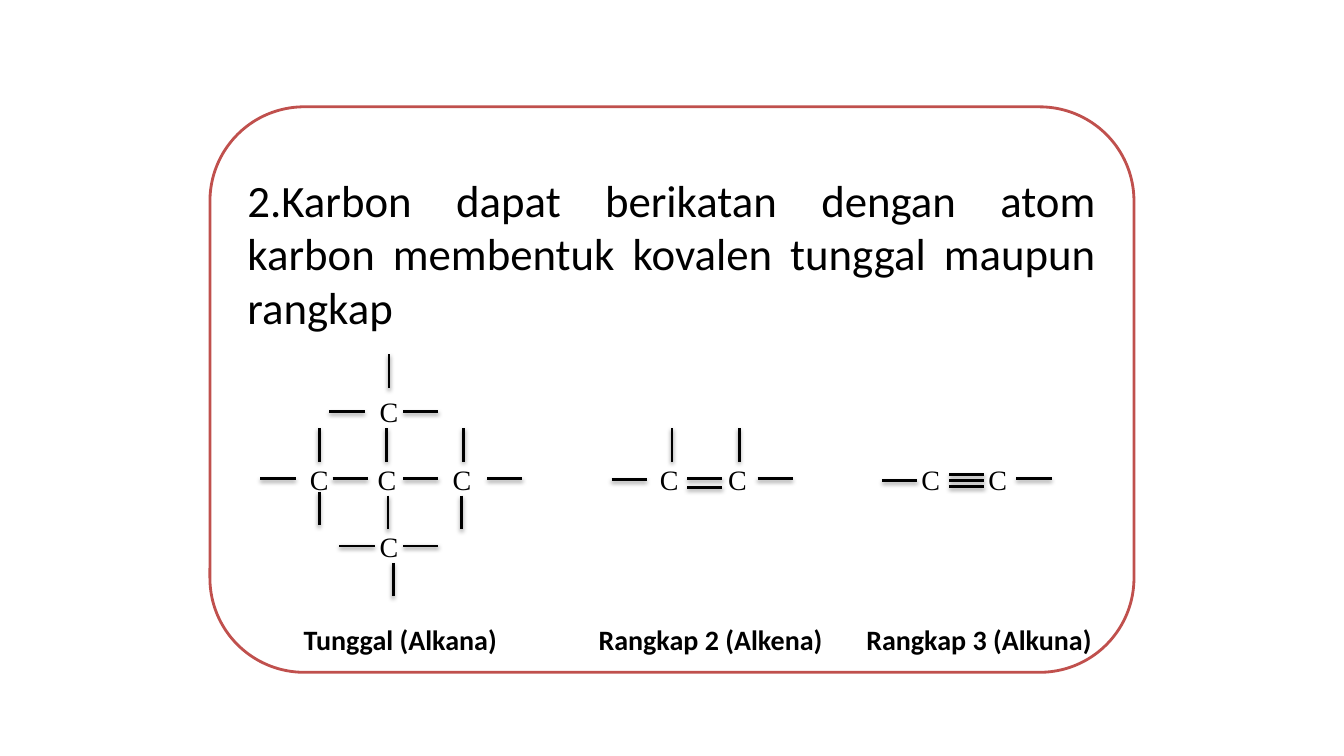
from lxml.etree import SubElement
from pptx import Presentation
from pptx.dml.color import RGBColor
from pptx.enum.shapes import MSO_CONNECTOR as Connector, MSO_SHAPE as Shape
from pptx.enum.text import MSO_ANCHOR as Anchor, PP_ALIGN as Align
from pptx.oxml.ns import qn
from pptx.util import Inches, Pt

COLORS = {"paper": "FFFFFF", "frame": "C0504D", "ink": "000000"}
COLUMNS, ROWS = 80, 45
BOND_WIDTH, BOND_HEIGHT = 2.1, 2

MOLECULES = [
    {
        "label": ("Tunggal (Alkana)", 23.83),
        "atoms": [(23.16, 24.5), (19, 28.5), (23.04, 28.5), (27.5, 28.5), (23.16, 32.5)],
        "across": [(19.6, 24.5), (24, 24.5), (15.5, 28.5), (19.8, 28.5), (24, 28.5),
                   (29, 28.5), (20.2, 32.5), (24, 32.5)],
        "down": [(23.16, 21.1), (19, 25.5), (23, 25.5), (27.6, 25.5),
                 (19, 29.28), (23.1, 29.5), (27.48, 29.5), (23.4, 33.5)],
    },
    {
        "label": ("Rangkap 2 (Alkena)", 42.3),
        "atoms": [(39.84, 28.5), (43.9, 28.5)],
        "across": [(36.4, 28.56), (40.9, 28.5), (40.9, 29), (45.1, 28.5)],
        "down": [(40, 25.5), (44, 25.5)],
    },
    {
        "label": ("Rangkap 3 (Alkuna)", 58.28),
        "atoms": [(55.4, 28.5), (59.4, 28.5)],
        "across": [(52.5, 28.62), (56.5, 28.26), (56.5, 28.62), (56.5, 28.98), (60.5, 28.5)],
        "down": [],
    },
]


class BondSlide:
    def __init__(self, presentation):
        self.slide = presentation.slides.add_slide(presentation.slide_layouts[6])
        self.column = presentation.slide_width / COLUMNS
        self.row = presentation.slide_height / ROWS

    def place(self, left, top, width, height):
        return (round(left * self.column), round(top * self.row),
                round(width * self.column), round(height * self.row))

    def add_text(self, paragraph, text, size, font="Calibri", bold=False):
        run = paragraph.add_run()
        run.text = text
        run.font.name = font
        run.font.size = Pt(size)
        run.font.bold = bold
        run.font.color.rgb = RGBColor.from_string(COLORS["ink"])

    def panel(self, left, top, width, height, text):
        shape = self.slide.shapes.add_shape(Shape.ROUNDED_RECTANGLE,
                                            *self.place(left, top, width, height))
        shape.shadow.inherit = False
        shape.fill.solid()
        shape.fill.fore_color.rgb = RGBColor.from_string(COLORS["paper"])
        shape.line.color.rgb = RGBColor.from_string(COLORS["frame"])
        shape.line.width = Pt(2)
        frame = shape.text_frame
        frame.word_wrap = True
        frame.vertical_anchor = Anchor.TOP
        frame.margin_top = round(2.26 * self.row)
        paragraph = frame.paragraphs[0]
        paragraph.alignment = Align.JUSTIFY
        self.add_text(paragraph, text, 32)

    def centered_text(self, center, middle, width, text, font="Calibri", bold=False):
        height = 2
        box = self.slide.shapes.add_textbox(
            *self.place(center - width / 2, middle - height / 2, width, height))
        frame = box.text_frame
        frame.word_wrap = True
        frame.margin_left = frame.margin_right = frame.margin_top = frame.margin_bottom = 0
        frame.vertical_anchor = Anchor.MIDDLE
        paragraph = frame.paragraphs[0]
        paragraph.alignment = Align.CENTER
        self.add_text(paragraph, text, 20, font, bold)

    def bond(self, group, left, top, width, height):
        x, y, dx, dy = self.place(left, top, width, height)
        line = group.shapes.add_connector(Connector.STRAIGHT, x, y, x + dx, y + dy)
        line.line.color.rgb = RGBColor.from_string(COLORS["ink"])
        line.line.width = Pt(2)
        effects = SubElement(line._element.spPr, qn("a:effectLst"))
        shadow = SubElement(effects, qn("a:outerShdw"), blurRad=str(Pt(3.1)),
                            dist=str(Pt(1.6)), dir="5400000", rotWithShape="0")
        color = SubElement(shadow, qn("a:srgbClr"), val=COLORS["ink"])
        SubElement(color, qn("a:alpha"), val="38000")

    def molecule(self, label, atoms, across, down):
        for column, row in atoms:
            self.centered_text(column, row, 2, "C", "Times New Roman")
        group = self.slide.shapes.add_group_shape()
        for column, row in across:
            self.bond(group, column, row, BOND_WIDTH, 0)
        for column, row in down:
            self.bond(group, column, row, 0, BOND_HEIGHT)
        text, center = label
        self.centered_text(center, 38.07, 15, text, bold=True)


def main():
    presentation = Presentation()
    presentation.slide_width = Inches(13.33)
    presentation.slide_height = Inches(7.5)
    page = BondSlide(presentation)
    page.panel(12.5, 6.36, 55, 33.66,
               "2.Karbon dapat berikatan dengan atom karbon membentuk "
               "kovalen tunggal maupun rangkap")
    for molecule in MOLECULES:
        page.molecule(**molecule)
    presentation.save("out.pptx")


if __name__ == "__main__":
    main()
